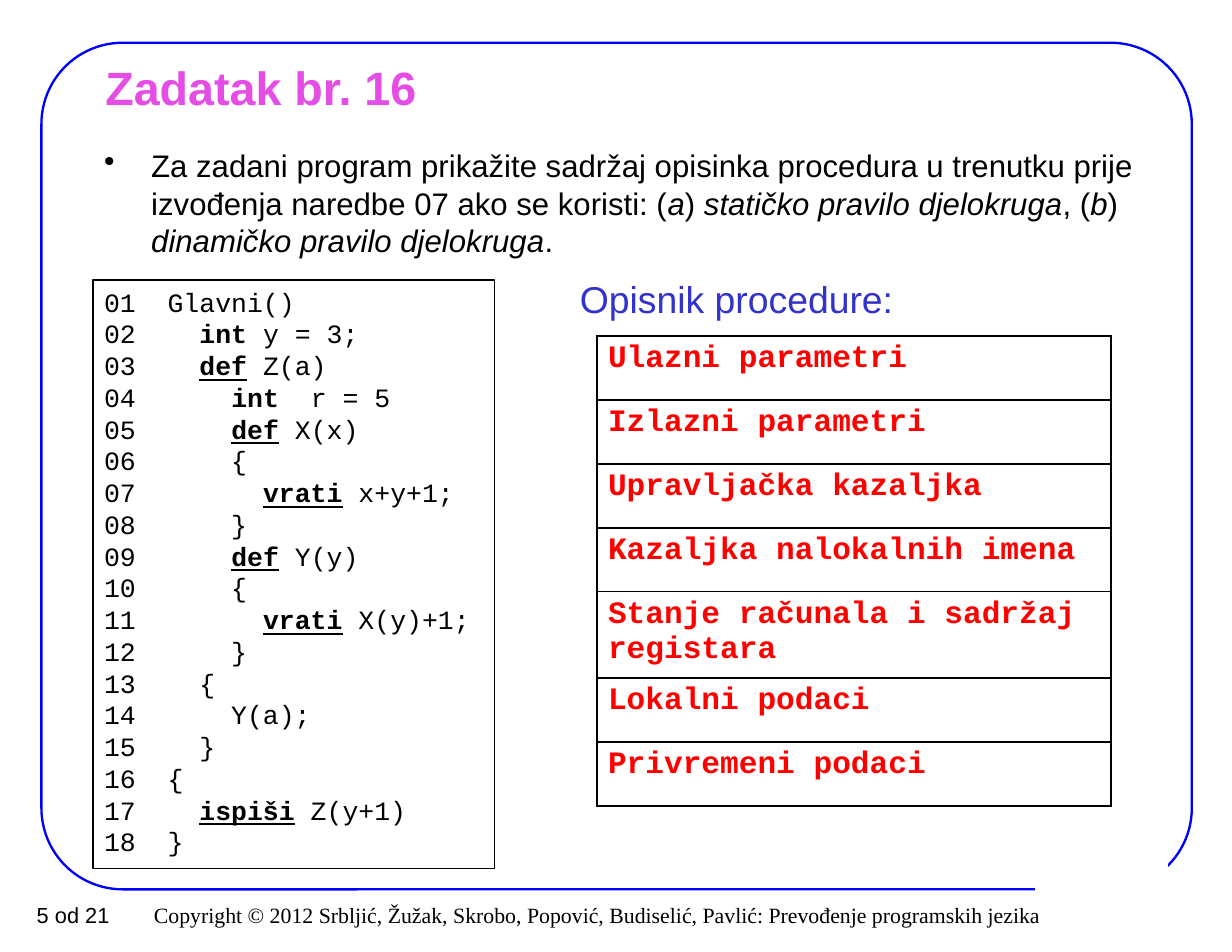
import pptx
import pptx.util
import pptx.dml.color
import pptx.enum.shapes
import pptx.enum.text
import pptx.oxml
import pptx.oxml.ns
from lxml import etree

Cm, Pt = pptx.util.Cm, pptx.util.Pt
SHAPE = pptx.enum.shapes.MSO_SHAPE
ALIGN = pptx.enum.text.PP_ALIGN
ANCHOR = pptx.enum.text.MSO_ANCHOR
qn = pptx.oxml.ns.qn

COLORS = {"frame": "0000FF", "paper": "FFFFFF", "ink": "000000",
          "title": "E44EE4", "heading": "3333CC", "field": "FF0000"}

TASK = [("Za zadani program prikažite sadržaj opisinka procedura u trenutku prije "
         "izvođenja naredbe 07 ako se koristi: (", False),
        ("a", True), (") ", False), ("statičko pravilo djelokruga", True),
        (", (", False), ("b", True), (") ", False),
        ("dinamičko pravilo djelokruga", True), (".", False)]

# Nesting level, keyword, rest of the line
PROGRAM = [(0, "", "Glavni()"), (1, "int", " y = 3;"), (1, "def", " Z(a)"),
           (2, "int", "  r = 5"), (2, "def", " X(x)"), (2, "", "{"),
           (3, "vrati", " x+y+1;"), (2, "", "}"), (2, "def", " Y(y)"),
           (2, "", "{"), (3, "vrati", " X(y)+1;"), (2, "", "}"),
           (1, "", "{"), (2, "", "Y(a);"), (1, "", "}"), (0, "", "{"),
           (1, "ispiši", " Z(y+1)"), (0, "", "}")]

FIELDS = ["Ulazni parametri", "Izlazni parametri", "Upravljačka kazaljka",
          "Kazaljka nalokalnih imena", "Stanje računala i sadržaj registara",
          "Lokalni podaci", "Privremeni podaci"]


def rgb(name):
    return pptx.dml.color.RGBColor.from_string(COLORS[name])


def add_run(paragraph, text, size, color="ink", face="Arial",
            bold=False, italic=False, underline=False):
    run = paragraph.add_run()
    run.text = text
    font = run.font
    font.name, font.size = face, Pt(size)
    font.bold, font.italic, font.underline = bold, italic, underline
    font.color.rgb = rgb(color)


def set_insets(frame, side, end):
    frame.margin_left = frame.margin_right = Cm(side)
    frame.margin_top = frame.margin_bottom = Cm(end)


def add_text_frame(slide, box, side=0.25, end=0.13, wrap=True, anchor=ANCHOR.TOP):
    frame = slide.shapes.add_textbox(*map(Cm, box)).text_frame
    frame.word_wrap = wrap
    frame.vertical_anchor = anchor
    set_insets(frame, side, end)
    return frame


def add_panel(slide, preset, box, line, width, fill=None):
    panel = slide.shapes.add_shape(preset, *map(Cm, box))
    panel.shadow.inherit = False
    if fill:
        panel.fill.solid()
        panel.fill.fore_color.rgb = rgb(fill)
    else:
        panel.fill.background()
    panel.line.color.rgb = rgb(line)
    panel.line.width = Pt(width)
    return panel


def add_frame(slide, box):
    """Rounded slide border with a gap at its lower right corner."""
    left, top, width, height = box
    border = add_panel(slide, SHAPE.ROUNDED_RECTANGLE, box, "frame", 1.5)
    border.adjustments[0] = 0.096
    gap = (left + width - 3.53, top + height - 0.69, 2.97, 1.27)
    add_panel(slide, SHAPE.RECTANGLE, gap, "paper", 1, "paper")


def add_footer(slide, box):
    left, top, width, height = box
    copyright_line = add_text_frame(slide, box, anchor=ANCHOR.MIDDLE).paragraphs[0]
    copyright_line.alignment = ALIGN.RIGHT
    add_run(copyright_line, "Copyright © 2012 Srbljić, Žužak, Skrobo, Popović, Budiselić, "
            "Pavlić: Prevođenje programskih jezika", 14, face="Times New Roman")
    page_box = (left - 0.84, top, 4.14, height)
    page = add_text_frame(slide, page_box, wrap=False).paragraphs[0]
    page.alignment = ALIGN.CENTER
    add_run(page, "5 od 21", 14)


def add_title(slide, box):
    frame = add_text_frame(slide, box, 0.28, 0.15, anchor=ANCHOR.MIDDLE)
    add_run(frame.paragraphs[0], "Zadatak br. 16", 30, "title", bold=True)


def add_task(slide, box):
    task = add_text_frame(slide, box, 0.28, 0.15).paragraphs[0]
    props = task._p.get_or_add_pPr()
    props.set("marL", str(Cm(1.07)))
    props.set("indent", str(-Cm(1.07)))
    etree.SubElement(props, qn("a:buChar")).set("char", "•")
    for text, italic in TASK:
        add_run(task, text, 20, italic=italic)


def add_program(slide, box):
    frame = add_panel(slide, SHAPE.RECTANGLE, box, "ink", 0.75, "paper").text_frame
    frame.word_wrap = True
    frame.vertical_anchor = ANCHOR.TOP
    set_insets(frame, 0.25, 0.13)
    for number, (level, keyword, rest) in enumerate(PROGRAM, 1):
        line = frame.paragraphs[0] if number == 1 else frame.add_paragraph()
        line.alignment = ALIGN.LEFT
        add_run(line, f"{number:02}  " + "  " * level, 17, face="Courier New")
        if keyword:
            add_run(line, keyword, 17, face="Courier New",
                    bold=True, underline=keyword != "int")
        add_run(line, rest, 17, face="Courier New")


def add_cell_borders(cell):
    props = cell._tc.get_or_add_tcPr()
    for position, side in enumerate(("lnL", "lnR", "lnT", "lnB")):
        border = etree.Element(qn(f"a:{side}"), w=str(Pt(1.08)))
        fill = etree.SubElement(border, qn("a:solidFill"))
        etree.SubElement(fill, qn("a:srgbClr")).set("val", COLORS["ink"])
        props.insert(position, border)


def add_descriptor(slide, box):
    """Heading and one table row for each field of the procedure descriptor."""
    left, top, width, height = box
    heading = add_text_frame(slide, (left, top, width, 1.47)).paragraphs[0]
    heading.line_spacing = 1.2
    add_run(heading, "Opisnik procedure:", 24, "heading")

    row_height, tall_row = 1.45, 1.96
    table = slide.shapes.add_table(
        len(FIELDS), 1, Cm(left + 0.64), Cm(top + 1.7), Cm(11.66), Cm(height - 1.7)).table
    table.first_row = table.horz_banding = False
    for row, field in zip(table.rows, FIELDS):
        row.height = Cm(tall_row if len(field) > 30 else row_height)
        cell = row.cells[0]
        cell.fill.background()
        set_insets(cell, 0.25, 0.13)
        add_run(cell.text_frame.paragraphs[0], field, 20, "field", "Courier New", bold=True)
        add_cell_borders(cell)


def main():
    deck = pptx.Presentation()
    deck.slide_width, deck.slide_height = Cm(27.94), Cm(21.59)
    slide = deck.slides.add_slide(deck.slide_layouts[6])
    add_frame(slide, (0.94, 0.97, 26.09, 19.2))
    add_footer(slide, (0.43, 20.32, 23.44, 0.86))
    add_title(slide, (2.11, 1.27, 23.75, 1.4))
    add_task(slide, (2.08, 3.18, 24.59, 2.9))
    add_program(slide, (2.11, 6.35, 9.1, 13.34))
    add_descriptor(slide, (12.9, 5.92, 13.54, 12.36))
    deck.save("out.pptx")


if __name__ == "__main__":
    main()
